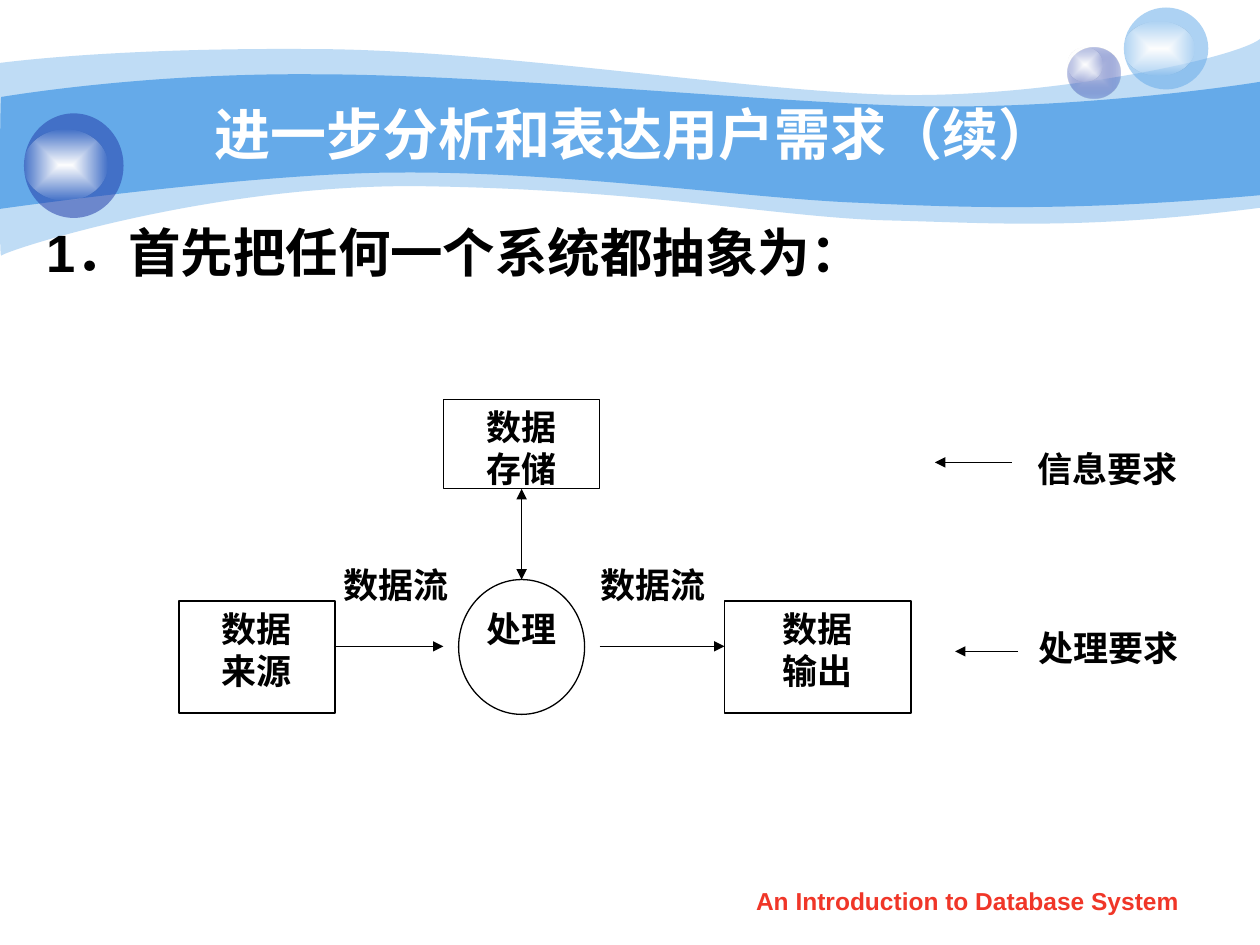
from lxml import etree
from pptx import Presentation
from pptx.dml.color import RGBColor
from pptx.enum.shapes import MSO_CONNECTOR, MSO_SHAPE
from pptx.enum.text import MSO_ANCHOR, PP_ALIGN
from pptx.oxml import parse_xml
from pptx.oxml.ns import qn
from pptx.util import Inches, Pt

RECTANGLE, OVAL = MSO_SHAPE.RECTANGLE, MSO_SHAPE.OVAL
STRAIGHT = MSO_CONNECTOR.STRAIGHT
LEFT, CENTER = PP_ALIGN.LEFT, PP_ALIGN.CENTER
TOP, MIDDLE = MSO_ANCHOR.TOP, MSO_ANCHOR.MIDDLE
TOP_SITE, BOTTOM_SITE = 0, 2
DRAWING_NS = "http://schemas.openxmlformats.org/drawingml/2006/main"
COLORS = {"sky": "65AAE9", "navy": "233DA9", "lilac": "C6CCE8", "white": "FFFFFF",
          "glow": "FEFEFE", "black": "000000", "red": "F03628"}

PALE_WAVE = ((0, 0.5), [
    [(0.24, 0.47), (1.07, 0.38), (2.47, 0.39)],
    [(3.86, 0.39), (5.75, 0.7), (6.99, 0.75)],
    [(8.22, 0.8), (9.8, 0.47), (10, 0.31)],
    [(10, 1.65)],
    [(8.58, 1.83), (7.87, 1.77), (7.05, 1.75)],
    [(6.22, 1.73), (5.15, 1.51), (3.43, 1.48)],
    [(1.72, 1.44), (0.04, 1.99), (0.01, 2.03)],
    [(-0.01, 2.08), (0, 0.75), (0, 0.5)],
])
BLUE_WAVE = ((0.01, 0.77), [
    [(0.02, 0.77), (1.1, 0.58), (2.48, 0.59)],
    [(3.86, 0.59), (5.95, 0.8), (7.18, 0.84)],
    [(8.41, 0.88), (9.76, 0.69), (10, 0.65)],
    [(10, 1.55)],
    [(8.53, 1.68), (7.65, 1.65), (6.82, 1.61)],
    [(5.99, 1.58), (4.47, 1.36), (3.17, 1.37)],
    [(2.03, 1.37), (-0.02, 1.66), (-0.01, 1.66)],
    [(0, 1.66), (0, 0.77), (0.01, 0.77)],
])


def rgb(name):
    """Return the named palette colour."""
    return RGBColor.from_string(COLORS[name])


def fill_solid(shape, color, opacity=100):
    """Fill a shape with one colour at an opacity in percent."""
    shape.fill.solid()
    shape.fill.fore_color.rgb = rgb(color)
    if opacity < 100:
        tint = shape._element.spPr.find(".//" + qn("a:srgbClr"))
        etree.SubElement(tint, qn("a:alpha"), val=str(opacity * 1000))


def fill_glow(shape, inner, outer, opacity):
    """Fill a shape with a gradient from its centre to a translucent edge."""
    shape.fill.background()
    blank = shape._element.spPr.find(qn("a:noFill"))
    gradient = parse_xml(
        f'<a:gradFill xmlns:a="{DRAWING_NS}" rotWithShape="1"><a:gsLst>'
        f'<a:gs pos="0"><a:srgbClr val="{COLORS[inner]}"/></a:gs>'
        f'<a:gs pos="100000"><a:srgbClr val="{COLORS[outer]}">'
        f'<a:alpha val="{opacity * 1000}"/></a:srgbClr></a:gs></a:gsLst>'
        '<a:path path="rect"><a:fillToRect l="50000" t="50000" r="50000" b="50000"/></a:path>'
        '</a:gradFill>')
    blank.getparent().replace(blank, gradient)


def bend_sides(shape, sides):
    """Turn each run of three straight segments into one cubic curve."""
    segments = iter(shape._element.spPr.findall(".//" + qn("a:lnTo")))
    for side in sides:
        first, *others = [next(segments) for _ in side]
        if others:
            first.tag = qn("a:cubicBezTo")
            for other in others:
                first.append(other[0])
                other.getparent().remove(other)


def add_wave(page, outline, color, opacity=100):
    """Draw a closed wavy band."""
    start, sides = outline
    builder = page.shapes.build_freeform(*map(Inches, start), scale=1.0)
    builder.add_line_segments([(Inches(x), Inches(y)) for side in sides for x, y in side],
                              close=True)
    wave = builder.convert_to_shape()
    bend_sides(wave, sides)
    wave.shadow.inherit = False
    wave.line.fill.background()
    fill_solid(wave, color, opacity)


def add_shape(page, kind, bounds, outlined=False):
    """Add an unfilled preset shape, with or without a thin black outline."""
    shape = page.shapes.add_shape(kind, *map(Inches, bounds))
    shape.shadow.inherit = False
    shape.fill.background()
    if outlined:
        shape.line.color.rgb = rgb("black")
        shape.line.width = Pt(0.75)
    else:
        shape.line.fill.background()
    return shape


def add_shine(page, bounds):
    """Add the white highlight of a bubble."""
    fill_glow(add_shape(page, OVAL, bounds), "white", "glow", 0)


def write(box, lines, size=20, font="Times New Roman", color="black",
          align=CENTER, anchor=TOP, margin=0):
    """Write bold paragraphs into a shape or text box."""
    frame = box.text_frame
    frame.word_wrap = True
    frame.vertical_anchor = anchor
    frame.margin_left = frame.margin_right = Inches(margin)
    frame.margin_top = frame.margin_bottom = Inches(0.05)
    for index, line in enumerate(lines):
        para = frame.add_paragraph() if index else frame.paragraphs[0]
        para.alignment = align
        span = para.add_run()
        span.text = line
        span.font.size = Pt(size)
        span.font.name = font
        span.font.bold = True
        span.font.color.rgb = rgb(color)


def add_text(page, bounds, text, **style):
    """Add a one-paragraph text box."""
    write(page.shapes.add_textbox(*map(Inches, bounds)), [text], **style)


def add_node(page, bounds, lines):
    """Add an outlined rectangle with its label."""
    node = add_shape(page, RECTANGLE, bounds, outlined=True)
    write(node, lines)
    return node


def add_arrow(page, start, end, both_ways=False):
    """Add a thin black arrow."""
    arrow = page.shapes.add_connector(STRAIGHT, *map(Inches, (*start, *end)))
    arrow.line.color.rgb = rgb("black")
    arrow.line.width = Pt(0.75)
    line = arrow.line._get_or_add_ln()
    if both_ways:
        etree.SubElement(line, qn("a:headEnd"), type="triangle")
    etree.SubElement(line, qn("a:tailEnd"), type="triangle")
    etree.SubElement(arrow._element.spPr, qn("a:effectLst"))
    return arrow


def add_background(page):
    """Draw the waves and the three bubbles."""
    add_wave(page, PALE_WAVE, "sky", 41)
    add_wave(page, BLUE_WAVE, "sky")
    fill_glow(add_shape(page, OVAL, (8.47, 0.38, 0.42, 0.4)), "lilac", "navy", 31)
    add_shine(page, (8.47, 0.38, 0.28, 0.27))
    fill_solid(add_shape(page, OVAL, (8.92, 0.06, 0.67, 0.65)), "sky", 53)
    add_shine(page, (8.92, 0.17, 0.56, 0.43))
    fill_solid(add_shape(page, OVAL, (0.19, 0.9, 0.79, 0.83)), "navy", 53)
    add_shine(page, (0.19, 1.03, 0.66, 0.56))


def add_diagram(page):
    """Draw the data flow diagram."""
    process = add_shape(page, OVAL, (3.64, 4.6, 1, 1.07), outlined=True)
    store = add_node(page, (3.52, 3.17, 1.24, 0.71), ["数据", "存储"])
    add_node(page, (1.42, 4.77, 1.24, 0.89), ["数据", "来源"])
    add_node(page, (5.75, 4.77, 1.48, 0.89), ["数据", "输出"])
    for bounds, label in [((4.63, 4.42, 1.11, 0.71), "数据流"),
                          ((2.65, 4.42, 0.99, 0.71), "数据流"),
                          ((8.17, 3.5, 1.24, 0.73), "信息要求"),
                          ((3.77, 4.77, 0.74, 0.53), "处理"),
                          ((8.18, 4.92, 1.24, 0.57), "处理要求")]:
        add_text(page, bounds, label)
    for start_x, end_x, y in [(8.03, 7.42, 3.67), (2.65, 3.52, 5.13),
                              (4.76, 5.75, 5.13), (8.08, 7.58, 5.17)]:
        add_arrow(page, (start_x, y), (end_x, y))
    link = add_arrow(page, (4.14, 3.88), (4.14, 4.6), both_ways=True)
    link.begin_connect(store, BOTTOM_SITE)
    link.end_connect(process, TOP_SITE)


def main():
    """Build the slide and save it."""
    deck = Presentation()
    deck.slide_width, deck.slide_height = Inches(10), Inches(7.5)
    page = deck.slides.add_slide(deck.slide_layouts[6])
    add_background(page)
    add_text(page, (1, 0.75, 8.08, 0.62), "进一步分析和表达用户需求（续）",
             size=32, font="Arial", color="white", anchor=MIDDLE, margin=0.1)
    add_text(page, (0.27, 1.7, 9.53, 4.92), "1．首先把任何一个系统都抽象为：",
             size=30, font="Arial", align=LEFT, margin=0.1)
    add_diagram(page)
    add_text(page, (5.71, 6.98, 3.94, 0.35), "An Introduction to Database System",
             size=14, font="Arial", color="red", margin=0.1)
    deck.save("out.pptx")


if __name__ == "__main__":
    main()
